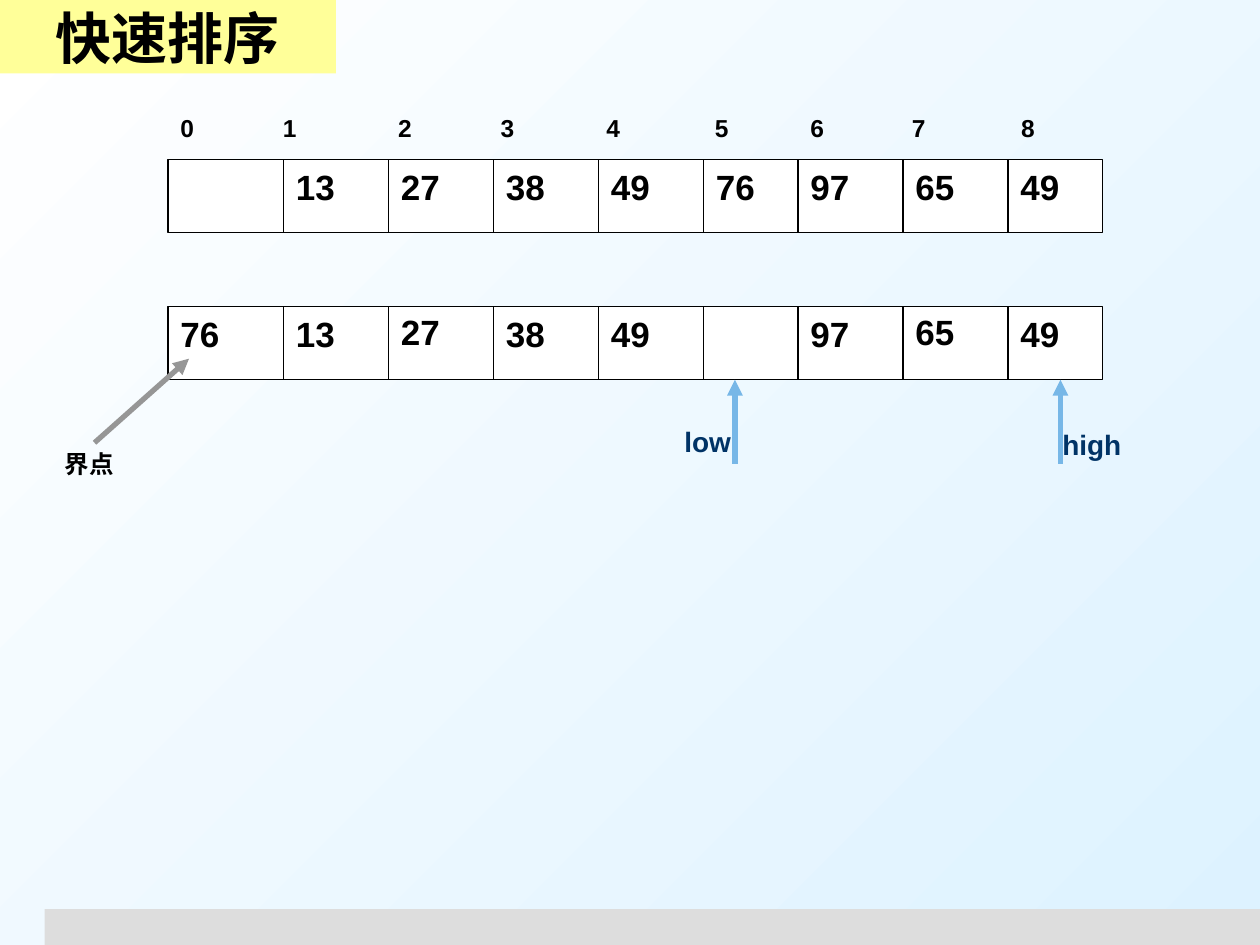
from lxml import etree
from pptx import Presentation
from pptx.dml.color import RGBColor
from pptx.enum.shapes import MSO_CONNECTOR, MSO_SHAPE
from pptx.enum.text import MSO_ANCHOR, PP_ALIGN
from pptx.oxml.ns import qn
from pptx.util import Pt

COLORS = {
    "black": "000000", "white": "FFFFFF", "sky": "DDF2FF", "bar": "DDDDDD",
    "title": "FFFF99", "pointer": "77B7E7", "label": "003366", "pivot": "969696",
}
FONT = "Arial"
CELL_LEFTS = [0, 66, 126, 186, 246, 306, 360, 420, 480]
INDEX_TABS = [58.5, 124.5, 183, 243.5, 305.5, 360, 418, 480.5]


def color(name):
    return RGBColor.from_string(COLORS[name])


def format_text(text_frame, size, color_name="black"):
    for paragraph in text_frame.paragraphs:
        for run in paragraph.runs:
            run.font.name = FONT
            run.font.size = Pt(size)
            run.font.bold = True
            run.font.color.rgb = color(color_name)


def add_text(shapes, text, left, top, width, height, size, color_name="black"):
    text_box = shapes.add_textbox(Pt(left), Pt(top), Pt(width), Pt(height))
    text_box.text_frame.word_wrap = True
    text_box.text_frame.text = text
    format_text(text_box.text_frame, size, color_name)
    return text_box


def add_box(shapes, left, top, width, height, fill, line=None):
    box = shapes.add_shape(
        MSO_SHAPE.RECTANGLE, Pt(left), Pt(top), Pt(width), Pt(height))
    box.shadow.inherit = False
    box.fill.solid()
    box.fill.fore_color.rgb = color(fill)
    if line:
        box.line.color.rgb = color(line)
        box.line.width = Pt(0.75)
    else:
        box.line.fill.background()


def add_line(shapes, start, end, color_name, width, arrow=False):
    line = shapes.add_connector(
        MSO_CONNECTOR.STRAIGHT, *(Pt(value) for value in (*start, *end)))
    line.line.color.rgb = color(color_name)
    line.line.width = Pt(width)
    if arrow:
        tail = etree.SubElement(line.line._get_or_add_ln(), qn("a:tailEnd"))
        tail.set("type", "triangle")
    etree.SubElement(line._element.spPr, qn("a:effectLst"))


def add_title(slide, text, left, top, width, height):
    title = slide.shapes.title
    title.left, title.top = Pt(left), Pt(top)
    title.width, title.height = Pt(width), Pt(height)
    title.fill.solid()
    title.fill.fore_color.rgb = color("title")
    title.text_frame.text = text
    title.text_frame.vertical_anchor = MSO_ANCHOR.MIDDLE
    title.text_frame.paragraphs[0].alignment = PP_ALIGN.CENTER
    format_text(title.text_frame, 32)


def add_indexes(slide, left, top, width, height):
    labels = "\t".join(str(index) for index in range(len(CELL_LEFTS)))
    text_box = add_text(slide.shapes, labels, left, top, width, height, 14)
    properties = text_box.text_frame.paragraphs[0]._p.get_or_add_pPr()
    tab_list = etree.SubElement(properties, qn("a:tabLst"))
    for position in INDEX_TABS:
        etree.SubElement(
            tab_list, qn("a:tab"), pos=str(int(Pt(position))), algn="l")


def add_array(slide, values, left, top, width, height, raised=()):
    frame = slide.shapes.add_group_shape()
    add_box(frame.shapes, left, top, width, height, "white", "black")
    for offset in CELL_LEFTS[1:]:
        add_line(frame.shapes, (left + offset, top),
                 (left + offset, top + height), "black", 0.75)
    for index, (offset, value) in enumerate(zip(CELL_LEFTS, values)):
        if value:
            text_top = top - 1 if index in raised else top
            add_text(slide.shapes, value, left + offset, text_top, 48, 31, 20)


def add_pointer(slide, label, tip, label_left, label_top):
    x, y = tip
    pointer = slide.shapes.add_group_shape()
    add_line(pointer.shapes, (x, y + 48), tip, "pointer", 3, arrow=True)
    add_text(pointer.shapes, label, label_left, label_top, 66, 26.5, 16, "label")


def add_pivot(slide, left, top, width, height):
    add_text(slide.shapes, "界点", left, top, width, height, 14)
    add_line(slide.shapes, (left + 24, top), (left + 78, top - 48),
             "pivot", 3, arrow=True)


def main():
    presentation = Presentation()
    presentation.slide_width, presentation.slide_height = Pt(720), Pt(540)
    slide = presentation.slides.add_slide(presentation.slide_layouts[5])

    # Background and bottom bar
    background = slide.background.fill
    background.gradient()
    background.gradient_angle = 315
    for stop, name in zip(background.gradient_stops, ("white", "sky")):
        stop.color.rgb = color(name)
    add_box(slide.shapes, 25.5, 519.5, 694.5, 20.5, "bar")

    # Title
    add_title(slide, "快速排序", 0, 0, 192, 42)

    # Array before and after the pivot moves to cell 0
    values = ["", "13", "27", "38", "49", "76", "97", "65", "49"]
    moved = [values[5], *values[1:5], "", *values[6:]]
    add_indexes(slide, 96, 61, 534, 24)
    add_array(slide, values, 96, 91, 534, 42)
    add_array(slide, moved, 96, 175, 534, 42, raised=(2, 7))

    # Pointers and pivot mark
    add_pointer(slide, "low", (420, 217), 384, 239)
    add_pointer(slide, "high", (606, 217), 600, 241)
    add_pivot(slide, 30, 253, 60, 24)

    presentation.save("out.pptx")


if __name__ == "__main__":
    main()
